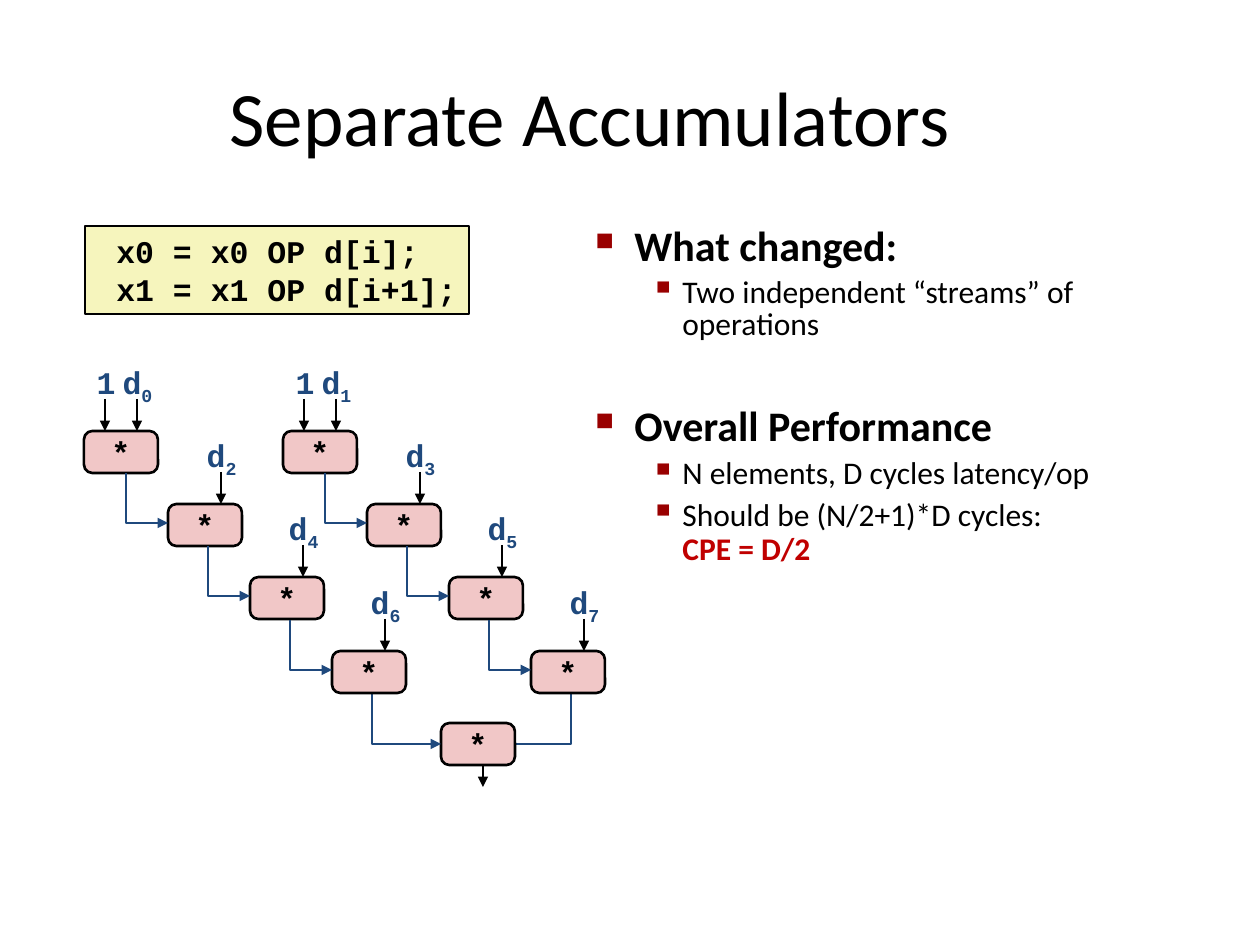
"""Build the slide on separate accumulators for loop unrolling."""
from dataclasses import dataclass
from typing import Any

from lxml.etree import SubElement
from pptx import Presentation
from pptx.dml.color import RGBColor
from pptx.enum.shapes import MSO_CONNECTOR as Link, MSO_SHAPE as Preset
from pptx.enum.text import MSO_ANCHOR as Anchor, MSO_AUTO_SIZE as Fit, PP_ALIGN as Align
from pptx.oxml.ns import qn
from pptx.util import Emu, Pt

EMU_PER_PX = 914400 / 126
COLORS = {
    "black": "000000", "navy": "1F497D", "pink": "F1C7C7",
    "cream": "F6F5BD", "bullet": "990000", "red": "C00000",
}
SANS, MONO = "Calibri", "Courier New"
NODE_W, NODE_H = 74, 42
STEP_OFFSETS = (0, 84, 166, 248)
FIRST_TOP = 431


@dataclass(frozen=True)
class Stream:
    left: int
    first_index: int


@dataclass(frozen=True)
class Bullet:
    text: str
    level: int = 0
    spacing: float = 0.85
    before: float = 0
    result: str = ""


@dataclass(frozen=True)
class BulletStyle:
    mark: str
    mark_percent: int
    margin: int
    hang: int
    size: int
    bold: bool


STREAMS = (Stream(84, 0), Stream(283, 1))
LEVELS = (BulletStyle("■", 60, 39, 39, 24, True), BulletStyle("▪", 110, 87, 32, 18, False))
POINTS = (
    Bullet("What changed:"),
    Bullet("Two independent “streams” of operations", 1, before=4.5),
    Bullet("Overall Performance", before=37),
    Bullet("N elements, D cycles latency/op", 1, 0.9, 4.5),
    Bullet("Should be (N/2+1)*D cycles:", 1, 0.9, 4.5, "CPE = D/2"),
)


def px(length: int) -> Emu:
    return Emu(round(length * EMU_PER_PX))


def rgb(name: str) -> RGBColor:
    return RGBColor.from_string(COLORS[name])


def write(paragraph: Any, text: str, *, size: int = 18, font: str = MONO,
          color: str = "black", bold: bool = True, baseline: int = 0) -> None:
    run = paragraph.add_run()
    run.text = text
    run.font.size, run.font.name, run.font.bold = Pt(size), font, bold
    run.font.color.rgb = rgb(color)
    if baseline:
        run.font._element.set("baseline", str(baseline * 1000))


def text_box(slide: Any, left: int, top: int, width: int, height: int) -> Any:
    frame = slide.shapes.add_textbox(px(left), px(top), px(width), px(height)).text_frame
    frame.word_wrap = True
    return frame


def outline(shape: Any, color: str, points: float = 1.5, arrow: bool = False) -> None:
    shape.line.color.rgb = rgb(color)
    shape.line.width = Pt(points)
    if arrow:
        SubElement(shape.line._get_or_add_ln(), qn("a:tailEnd"), type="triangle")


def filled_shape(slide: Any, preset: Any, left: int, top: int, width: int, height: int,
                 fill: str, points: float) -> Any:
    shape = slide.shapes.add_shape(preset, px(left), px(top), px(width), px(height))
    shape.shadow.inherit = False
    shape.fill.solid()
    shape.fill.fore_color.rgb = rgb(fill)
    outline(shape, "black", points)
    shape.text_frame.word_wrap = False
    return shape


def draw_operation(slide: Any, left: int, top: int) -> None:
    operation = filled_shape(slide, Preset.ROUNDED_RECTANGLE, left, top, NODE_W, NODE_H, "pink", 1.5)
    operation.adjustments[0] = 0.2
    operation.text_frame.vertical_anchor = Anchor.MIDDLE
    star = operation.text_frame.paragraphs[0]
    star.alignment = Align.CENTER
    write(star, "*")


def draw_arrow(slide: Any, x: int, top: int, bottom: int) -> None:
    arrow = slide.shapes.add_connector(Link.STRAIGHT, px(x), px(top), px(x), px(bottom))
    outline(arrow, "black", arrow=True)
    SubElement(arrow._element.spPr, qn("a:effectLst"))


def draw_elbow(slide: Any, start_x: int, start_y: int, end_x: int, end_y: int, arrow: bool = True) -> None:
    builder = slide.shapes.build_freeform(px(start_x), px(start_y))
    builder.add_line_segments([(px(start_x), px(end_y)), (px(end_x), px(end_y))], close=False)
    elbow = builder.convert_to_shape()
    elbow.fill.background()
    elbow.shadow.inherit = False
    outline(elbow, "navy", arrow=arrow)


def draw_operand(slide: Any, left: int, top: int, width: int, height: int,
                 name: str, index: str = "") -> None:
    frame = text_box(slide, left, top, width, height)
    frame.word_wrap = False
    frame.auto_size = Fit.SHAPE_TO_FIT_TEXT
    frame.margin_left = frame.margin_right = frame.margin_top = frame.margin_bottom = px(6)
    operand = frame.paragraphs[0]
    operand.alignment = Align.CENTER
    write(operand, name, color="navy")
    if index:
        write(operand, index, color="navy", baseline=-25)


def draw_stream(slide: Any, stream: Stream) -> None:
    for step, offset in enumerate(STEP_OFFSETS):
        left, top = stream.left + offset, FIRST_TOP + 220 * step // 3
        draw_operation(slide, left, top)
        draw_arrow(slide, left + 53, top - 32, top)
        draw_operand(slide, left + 32, top - 74, 43, 55, "d", str(stream.first_index + 2 * step))
        if step:
            draw_elbow(slide, left - 42, top - 31, left, top + 19)
        else:
            draw_arrow(slide, left + 21, top - 32, top)
            draw_operand(slide, left + 6, top - 74, 32, 50, "1")


def draw_merge(slide: Any) -> None:
    draw_arrow(slide, 483, 756, 787)
    draw_elbow(slide, 571, 693, 514, 744, arrow=False)
    draw_operation(slide, 441, 723)
    draw_elbow(slide, 372, 693, 441, 744)


def draw_code(slide: Any) -> None:
    frame = filled_shape(slide, Preset.RECTANGLE, 85, 226, 384, 88, "cream", 1).text_frame
    frame.vertical_anchor = Anchor.TOP
    for number, code in enumerate((" x0 = x0 OP d[i];", " x1 = x1 OP d[i+1];")):
        line = frame.add_paragraph() if number else frame.paragraphs[0]
        line.alignment = Align.LEFT
        write(line, code)


def draw_points(slide: Any) -> None:
    frame = text_box(slide, 583, 221, 645, 357)
    for number, bullet in enumerate(POINTS):
        point = frame.add_paragraph() if number else frame.paragraphs[0]
        style = LEVELS[bullet.level]
        properties = point._p.get_or_add_pPr()
        properties.set("marL", str(px(style.margin)))
        properties.set("indent", str(-px(style.hang)))
        tint = SubElement(properties, qn("a:buClr"))
        SubElement(tint, qn("a:srgbClr"), val=COLORS["bullet"])
        SubElement(properties, qn("a:buSzPct"), val=str(style.mark_percent * 1000))
        SubElement(properties, qn("a:buChar"), char=style.mark)
        point.level = bullet.level
        point.line_spacing = bullet.spacing
        point.space_before = Pt(bullet.before)
        write(point, bullet.text, size=style.size, font=SANS, bold=style.bold)
        if bullet.result:
            point.add_line_break()
            write(point, bullet.result, size=style.size, font=SANS, color="red")


def main() -> None:
    deck = Presentation()
    deck.slide_width, deck.slide_height = px(1260), px(945)
    slide = deck.slides.add_slide(deck.slide_layouts[6])
    heading = text_box(slide, 67, 63, 1046, 105)
    heading.vertical_anchor = Anchor.MIDDLE
    heading.paragraphs[0].alignment = Align.CENTER
    write(heading.paragraphs[0], "Separate Accumulators", size=44, font=SANS, bold=False)
    draw_merge(slide)
    for stream in STREAMS:
        draw_stream(slide, stream)
    draw_code(slide)
    draw_points(slide)
    deck.save("out.pptx")


if __name__ == "__main__":
    main()
